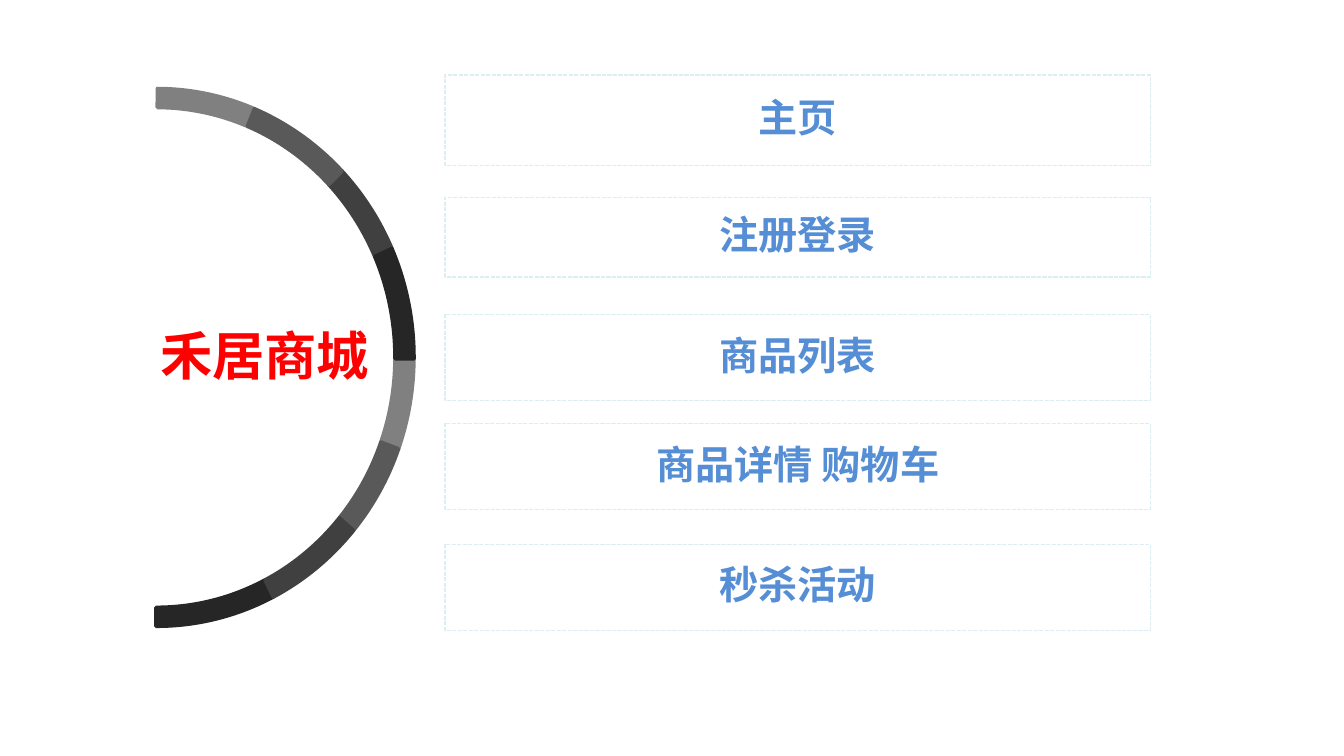
from pptx import Presentation, util as u
from pptx.dml.color import RGBColor
from pptx.enum import dml, shapes, text
from pptx.oxml.ns import qn
from lxml import etree

FONT = "Noto Sans CJK SC"
GREYS = ["808080", "595959", "404040", "262626"]
# Segment limits in degrees, clockwise from the top of the ring
ARC_STOPS = [270.2, 291.5, 314.9, 335.2, 360.3, 380.7, 401.3, 424, 450.1]
# Later segments lie over the ends of earlier ones
ARC_ORDER = [0, 2, 4, 7, 1, 3, 5, 6]
# top row, height in rows, label
PAGES = [
    (5.6, 6.7, "主页"),
    (14.7, 5.9, "注册登录"),
    (23.4, 6.4, "商品列表"),
    (31.5, 6.4, "商品详情 购物车"),
    (40.5, 6.4, "秒杀活动"),
]


def rgb(value):
    return RGBColor.from_string(value)


def write(sp, content, size, color, bold=True, margins=(0.1, 0.05)):
    """Fill a shape with one centred, formatted paragraph."""
    tf = sp.text_frame
    tf.word_wrap = True
    tf.auto_size = text.MSO_AUTO_SIZE.NONE
    tf.vertical_anchor = text.MSO_ANCHOR.MIDDLE
    tf.margin_left = tf.margin_right = u.Inches(margins[0])
    tf.margin_top = tf.margin_bottom = u.Inches(margins[1])
    p = tf.paragraphs[0]
    p.alignment = text.PP_ALIGN.CENTER
    p.line_spacing = 0.9
    p.space_before = u.Pt(10)
    r = p.add_run()
    r.text = content
    r.font.size = u.Pt(size)
    r.font.bold = bold
    r.font.color.rgb = rgb(color)
    r.font.name = FONT
    etree.SubElement(r.font._element, qn("a:ea"), typeface=FONT)


class Deck:
    """Style and current slide; lengths are cells of a 100-column square grid."""

    accent, pale, title_color = "558ED5", "DBEEF4", "FF0000"

    def __init__(self):
        self.prs = Presentation()
        self.prs.slide_width = u.Inches(10)
        self.prs.slide_height = self.prs.slide_width * 9 // 16
        self.cell = self.prs.slide_width / 100
        self.s = self.prs.slides.add_slide(self.prs.slide_layouts[5])

    def grid(self, *cells):
        return [round(c * self.cell) for c in cells]

    def shape(self, kind, box, line, width):
        sp = self.s.shapes.add_shape(kind, *self.grid(*box))
        sp.shadow.inherit = False
        sp.line.color.rgb = rgb(line)
        sp.line.width = u.Pt(width)
        return sp

    def title(self, content, box):
        """Place the title in a D-shaped outline that fits inside the ring."""
        sp = self.s.shapes.title
        sp.left, sp.top, sp.width, sp.height = self.grid(*box)
        outline = etree.SubElement(sp._element.spPr, qn("a:prstGeom"),
                                   prst="flowChartDelay")
        etree.SubElement(outline, qn("a:avLst"))
        write(sp, content, 28, self.title_color)

    def page_box(self, content, box):
        sp = self.shape(shapes.MSO_SHAPE.RECTANGLE, box, self.pale, 0.75)
        sp.fill.background()
        sp.line.dash_style = dml.MSO_LINE.SQUARE_DOT
        write(sp, content, 21, self.accent, margins=(0.07, 0.04))

    def arc(self, start, end, color, box):
        """Draw a ring segment between two clockwise angles in degrees."""
        sp = self.shape(shapes.MSO_SHAPE.BLOCK_ARC, box, color, 2)
        sp.fill.solid()
        sp.fill.fore_color.rgb = rgb(color)
        # Angles are stored in 1/60000 degree, adjustments in 1/100000
        for i, value in enumerate((start % 360 * 0.6, end % 360 * 0.6, 3.65 / 100)):
            sp.adjustments[i] = value


def main():
    deck = Deck()
    for i in ARC_ORDER:
        deck.arc(ARC_STOPS[i], ARC_STOPS[i + 1], GREYS[i % len(GREYS)],
                 (-7.5, 6.6, 38.3, 40))
    deck.title("禾居商城", (6.9, 8, 25.6, 37.3))
    for top, height, label in PAGES:
        deck.page_box(label, (33.1, top, 52.5, height))
    deck.prs.save("out.pptx")


if __name__ == "__main__":
    main()
